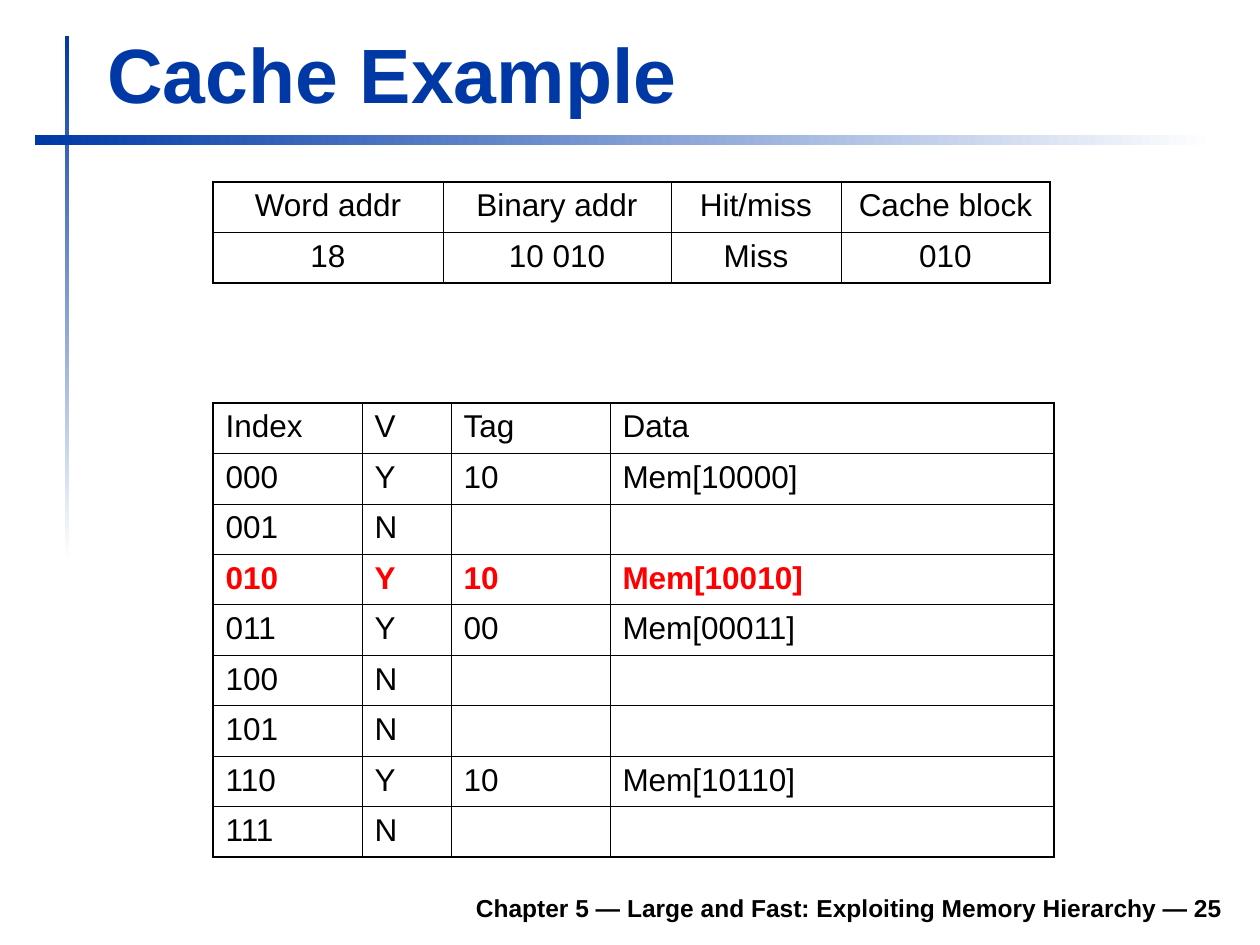
from dataclasses import dataclass

from lxml.etree import SubElement
from pptx import Presentation
from pptx.dml.color import RGBColor as RGB
from pptx.enum.shapes import MSO_SHAPE as Shape
from pptx.enum.text import MSO_ANCHOR as Anchor, PP_ALIGN as Align
from pptx.oxml.ns import qn
from pptx.util import Pt


@dataclass(frozen=True)
class Theme:
    """Colours, type sizes and line widths of the slide."""
    font: str = "Arial"
    blue: str = "0039A6"
    white: str = "FFFFFF"
    black: str = "000000"
    red: str = "FF0000"
    title: int = 44
    body: int = 18
    footer: int = 14
    space: float = 4.5
    outer: float = 1.08
    header: float = 0.75
    inner: float = 0.45


T = Theme()
ACCESS = [
    ("Word addr", "Binary addr", "Hit/miss", "Cache block"),
    ("18", "10 010", "Miss", "010"),
]
CACHE = [
    ("Index", "V", "Tag", "Data"),
    ("000", "Y", "10", "Mem[10000]"),
    ("001", "N", "", ""),
    ("010", "Y", "10", "Mem[10010]"),
    ("011", "Y", "00", "Mem[00011]"),
    ("100", "N", "", ""),
    ("101", "N", "", ""),
    ("110", "Y", "10", "Mem[10110]"),
    ("111", "N", "", ""),
]


def px(n):
    """Turn px into EMU."""
    return round(n * 914400 / 126)


def style(p, size, color, bold=False, align=Align.LEFT):
    """Format a paragraph and its runs."""
    p.alignment = align
    for r in p.runs:
        r.font.name = T.font
        r.font.size = Pt(size)
        r.font.bold = bold
        r.font.color.rgb = RGB.from_string(color)


def add_text(s, box, text, size, color, align=Align.LEFT):
    """Add a bold line of text at the bottom of the box."""
    tf = s.shapes.add_textbox(*map(px, box)).text_frame
    tf.word_wrap = True
    tf.vertical_anchor = Anchor.BOTTOM
    tf.text = text
    style(tf.paragraphs[0], size, color, True, align)


def add_bar(s, box, angle):
    """Add a bar that fades from blue to white."""
    sp = s.shapes.add_shape(Shape.RECTANGLE, *map(px, box))
    sp.shadow.inherit = False
    sp.line.fill.background()
    sp.fill.gradient()
    sp.fill.gradient_angle = angle
    for stop, color in zip(sp.fill.gradient_stops, (T.blue, T.white)):
        stop.color.rgb = RGB.from_string(color)


def add_borders(cell, widths):
    """Draw the left, right, top and bottom borders of a cell."""
    tc_pr = cell._tc.get_or_add_tcPr()
    for side, width in zip("LRTB", widths):
        ln = SubElement(tc_pr, qn(f"a:ln{side}"), w=str(Pt(width)))
        fill = SubElement(ln, qn("a:solidFill"))
        SubElement(fill, qn("a:srgbClr"), val=T.black)


def add_grid(s, box, rows, col_widths, align=Align.LEFT, marked=None):
    """Add a ruled table with equal rows and one optional marked row."""
    n_rows, n_cols = len(rows), len(col_widths)
    table = s.shapes.add_table(n_rows, n_cols, *map(px, box)).table
    table.first_row = table.horz_banding = False
    for col, width in zip(table.columns, col_widths):
        col.width = px(width)
    h_rules = [T.outer, T.header] + [T.inner] * (n_rows - 2) + [T.outer]
    v_rules = [T.outer] + [T.inner] * (n_cols - 1) + [T.outer]
    for i, row in enumerate(rows):
        color = T.red if i == marked else T.black
        for j, text in enumerate(row):
            cell = table.cell(i, j)
            add_borders(cell, v_rules[j:j + 2] + h_rules[i:i + 2])
            cell.fill.background()
            cell.text = text
            p = cell.text_frame.paragraphs[0]
            p.space_before = Pt(T.space)
            style(p, T.body, color, i == marked, align)


def add_frame(s, box):
    """Add the crossing bars, the title and the footer."""
    x, y, w, h = box
    add_bar(s, (x + 65, y + 36, 4, 525), 270)
    add_bar(s, (x + 35, y + 135, w - 80, 10), 0)
    add_text(s, (x + 233, y + h - 65, w - 258, 49),
             "Chapter 5 — Large and Fast: Exploiting Memory Hierarchy — 25",
             T.footer, T.black, Align.RIGHT)
    add_text(s, (x + 95, y + 20, w - 122, 105), "Cache Example", T.title, T.blue)


def main():
    """Build the slide and save it."""
    prs = Presentation()
    prs.slide_width, prs.slide_height = px(1260), px(945)
    s = prs.slides.add_slide(prs.slide_layouts[6])
    add_frame(s, (0, 0, 1260, 945))
    add_grid(s, (213, 403, 841, 454), CACHE, (149, 89, 159, 444), marked=3)
    add_grid(s, (213, 182, 837, 101), ACCESS, (230, 228, 170, 209), Align.CENTER)
    prs.save("out.pptx")


if __name__ == "__main__":
    main()
